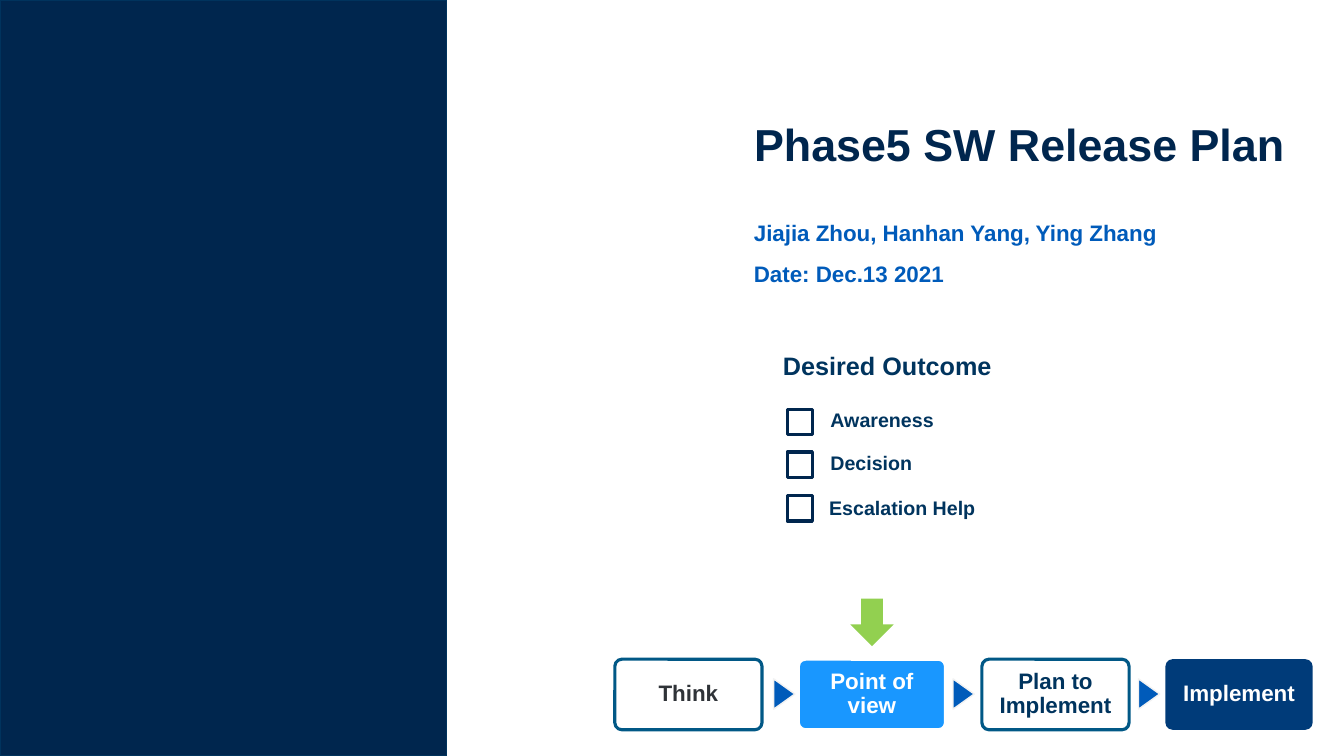
"""Build the cover slide of a release plan with its outcome checklist and phase chain."""
from pptx import Presentation
from pptx.dml.color import RGBColor
from pptx.enum.shapes import MSO_SHAPE
from pptx.enum.text import MSO_ANCHOR, MSO_AUTO_SIZE, PP_ALIGN
from pptx.util import Pt

COLORS = {
    "navy": "00264E", "panel_edge": "00335D", "ink": "00345E", "blue": "005BBA",
    "teal": "015886", "charcoal": "2F3338", "sky": "1997FF", "deep": "003B79",
    "green": "92D050", "white": "FFFFFF", "pale": "F2F2F2",
}


class Cover:
    def __init__(self, deck):
        self.font = "Arial"
        self.slide = deck.slides.add_slide(deck.slide_layouts[5])

    def color(self, name):
        return RGBColor.from_string(COLORS[name])

    def add_words(self, holder, words, size, color, align=PP_ALIGN.LEFT):
        frame = holder.text_frame
        frame.word_wrap = True
        frame.auto_size = MSO_AUTO_SIZE.NONE
        frame.vertical_anchor = MSO_ANCHOR.MIDDLE
        paragraph = frame.paragraphs[0]
        paragraph.alignment = align
        run = paragraph.add_run()
        run.text = words
        run.font.name = self.font
        run.font.size = Pt(size)
        run.font.bold = True
        run.font.color.rgb = self.color(color)
        return paragraph

    def title(self, words, left, top, width, height):
        heading = self.slide.shapes.title
        heading.left, heading.top = Pt(left), Pt(top)
        heading.width, heading.height = Pt(width), Pt(height)
        self.add_words(heading, words, 32, "navy")

    def label(self, words, left, top, width, size, color):
        box = self.slide.shapes.add_textbox(Pt(left), Pt(top), Pt(width), Pt(46))
        self.add_words(box, words, size, color)

    def shape(self, kind, left, top, width, height, fill=None, line=None, weight=1):
        item = self.slide.shapes.add_shape(kind, Pt(left), Pt(top), Pt(width), Pt(height))
        item.shadow.inherit = False
        if fill:
            item.fill.solid()
            item.fill.fore_color.rgb = self.color(fill)
        else:
            item.fill.background()
        if line:
            item.line.color.rgb = self.color(line)
            item.line.width = Pt(weight)
        else:
            item.line.fill.background()
        return item

    def checkbox(self, top):
        self.shape(MSO_SHAPE.RECTANGLE, 562.3, top, 18, 18, line="navy", weight=2.25)

    def step(self, words, left, fill, line, color):
        phase = self.shape(MSO_SHAPE.ROUNDED_RECTANGLE, left, 470.9, 105.1, 50.4,
                           fill, line, 2.25)
        phase.adjustments[0] = 0.1
        frame = phase.text_frame
        frame.margin_left = frame.margin_right = Pt(6.5)
        frame.margin_top = frame.margin_bottom = Pt(6.5)
        self.add_words(phase, words, 16, color, PP_ALIGN.CENTER).line_spacing = 0.9

    def pointer(self, left):
        pointer = self.shape(MSO_SHAPE.ISOSCELES_TRIANGLE, left, 488.2, 21.6, 15.1,
                             "blue", "pale")
        pointer.rotation = 90


def main():
    deck = Presentation()
    deck.slide_width, deck.slide_height = Pt(960), Pt(540)
    cover = Cover(deck)

    cover.shape(MSO_SHAPE.RECTANGLE, 0, 0, 319, 540, "navy", "panel_edge")
    cover.title("Phase5 SW Release Plan", 531.4, 59.8, 464.4, 85)

    phases = [
        ("Think", None, "teal", "charcoal"),
        ("Point of view", "sky", "white", "white"),
        ("Plan to Implement", None, "teal", "ink"),
        ("Implement", "deep", None, "white"),
    ]
    for index, (words, fill, line, color) in enumerate(phases):
        cover.step(words, 439.2 + 131.1 * index, fill, line, color)
    for left in (549.4, 677.5, 810):
        cover.pointer(left)
    cover.shape(MSO_SHAPE.DOWN_ARROW, 607.4, 427.7, 31, 33.8, "green")

    cover.label("Jiajia Zhou, Hanhan Yang, Ying Zhang", 531.4, 143.3, 357, 16, "blue")
    cover.label("Date: Dec.13 2021", 531.4, 172.4, 266.4, 16, "blue")
    cover.label("Desired Outcome", 552.2, 238.3, 246.2, 18, "ink")

    outcomes = [
        ("Awareness", 586.1, 276.5, 292.3),
        ("Decision", 586.1, 307.8, 322.9),
        ("Escalation Help", 585.2, 339.5, 354.2),
    ]
    for words, left, top, box_top in outcomes:
        cover.checkbox(box_top)
        cover.label(words, left, top, 174, 14, "ink")

    deck.save("out.pptx")


if __name__ == "__main__":
    main()
